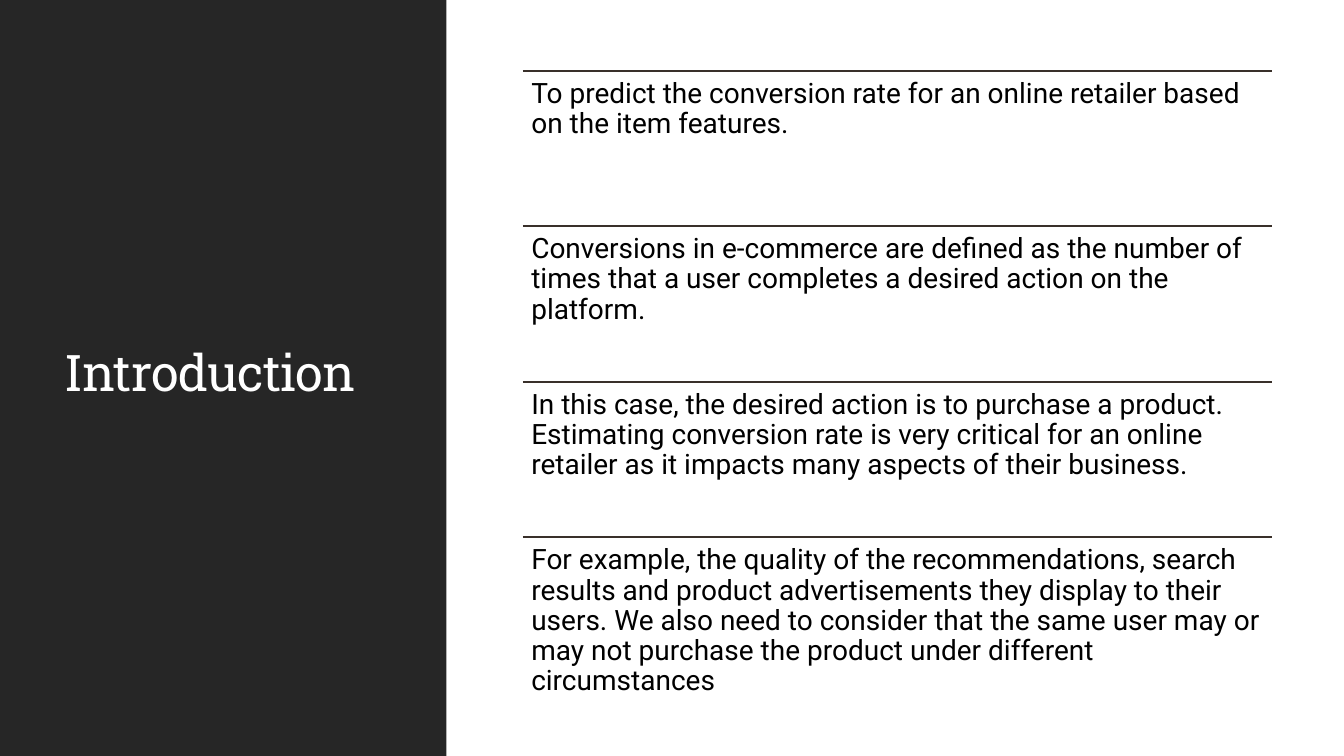
from dataclasses import dataclass

from lxml.etree import SubElement
from pptx import Presentation
from pptx.dml.color import RGBColor
from pptx.enum.shapes import MSO_CONNECTOR, MSO_SHAPE
from pptx.enum.text import MSO_ANCHOR, MSO_AUTO_SIZE, PP_ALIGN
from pptx.oxml.ns import qn
from pptx.slide import Slide
from pptx.text.text import TextFrame
from pptx.util import Cm, Pt

SLIDE_WIDTH, SLIDE_HEIGHT = 33.87, 19.05
PANEL_WIDTH = 11.25
LIST_LEFT, LIST_TOP, LIST_WIDTH = 13.18, 1.78, 18.87
ROW_HEIGHT = 3.92
INSET = 0.21


@dataclass(frozen=True)
class Statement:
    """A ruled statement in the right-hand column."""

    text: str
    top: float


STATEMENT_TEXTS = (
    "To predict the conversion rate for an online retailer based on the item features.",
    "Conversions in e-commerce are defined as the number of times that a user "
    "completes a desired action on the platform.",
    "In this case, the desired action is to purchase a product. Estimating conversion "
    "rate is very critical for an online retailer as it impacts many aspects of their business.",
    "For example, the quality of the recommendations, search results and product "
    "advertisements they display to their users. We also need to consider that the same "
    "user may or may not purchase the product under different circumstances",
)
STATEMENTS = [
    Statement(text, LIST_TOP + index * ROW_HEIGHT)
    for index, text in enumerate(STATEMENT_TEXTS)
]


def color(value: str) -> RGBColor:
    """Turn a hex string into a colour."""
    return RGBColor.from_string(value)


def write_text(
    frame: TextFrame,
    text: str,
    *,
    font: str,
    size: float,
    fill: str,
    anchor: MSO_ANCHOR = MSO_ANCHOR.TOP,
    space_after: float = 0,
    tracking: float = 0,
) -> None:
    """Fill a text frame with one formatted, left-aligned paragraph."""
    frame.word_wrap = True
    frame.auto_size = MSO_AUTO_SIZE.NONE
    frame.vertical_anchor = anchor
    paragraph = frame.paragraphs[0]
    paragraph.alignment = PP_ALIGN.LEFT
    paragraph.line_spacing = 0.9
    paragraph.space_after = Pt(space_after)
    run = paragraph.add_run()
    run.text = text
    run.font.name = font
    run.font.size = Pt(size)
    run.font.color.rgb = color(fill)
    if tracking:
        run._r.get_or_add_rPr().set("spc", str(round(tracking * 100)))


def draw_panel(slide: Slide) -> None:
    """Draw the dark panel behind the title."""
    panel = slide.shapes.add_shape(
        MSO_SHAPE.RECTANGLE, 0, 0, Cm(PANEL_WIDTH), Cm(SLIDE_HEIGHT)
    )
    panel.shadow.inherit = False
    panel.fill.solid()
    panel.fill.fore_color.rgb = color("262626")
    panel.line.fill.background()


def draw_title(slide: Slide) -> None:
    """Place the title over the panel, in front of it."""
    title = slide.shapes.title
    title.left, title.top = Cm(1.37), Cm(1.45)
    title.width, title.height = Cm(8.56), Cm(16.03)
    write_text(
        title.text_frame,
        "Introduction",
        font="Roboto Slab",
        size=36,
        fill="FFFFFF",
        anchor=MSO_ANCHOR.MIDDLE,
        tracking=-0.5,
    )
    slide.shapes._spTree.append(title._element)


def draw_statement(slide: Slide, statement: Statement) -> None:
    """Draw a rule with its statement below."""
    left, top, width = Cm(LIST_LEFT), Cm(statement.top), Cm(LIST_WIDTH)
    rule = slide.shapes.add_connector(
        MSO_CONNECTOR.STRAIGHT, left, top, left + width, top
    )
    rule.line.color.rgb = color("39302A")
    rule.line.width = Pt(1.25)
    SubElement(rule._element.spPr, qn("a:effectLst"))

    frame = slide.shapes.add_textbox(left, top, width, Cm(ROW_HEIGHT)).text_frame
    frame.margin_left = frame.margin_right = Cm(INSET)
    frame.margin_top = frame.margin_bottom = Cm(INSET)
    write_text(
        frame, statement.text, font="Roboto", size=20, fill="000000", space_after=7
    )


def main() -> None:
    """Build and save the introduction slide."""
    presentation = Presentation()
    presentation.slide_width = Cm(SLIDE_WIDTH)
    presentation.slide_height = Cm(SLIDE_HEIGHT)
    slide = presentation.slides.add_slide(presentation.slide_layouts[5])
    slide.background.fill.solid()
    slide.background.fill.fore_color.rgb = color("FFFFFF")
    draw_panel(slide)
    draw_title(slide)
    for statement in STATEMENTS:
        draw_statement(slide, statement)
    presentation.save("out.pptx")


if __name__ == "__main__":
    main()
